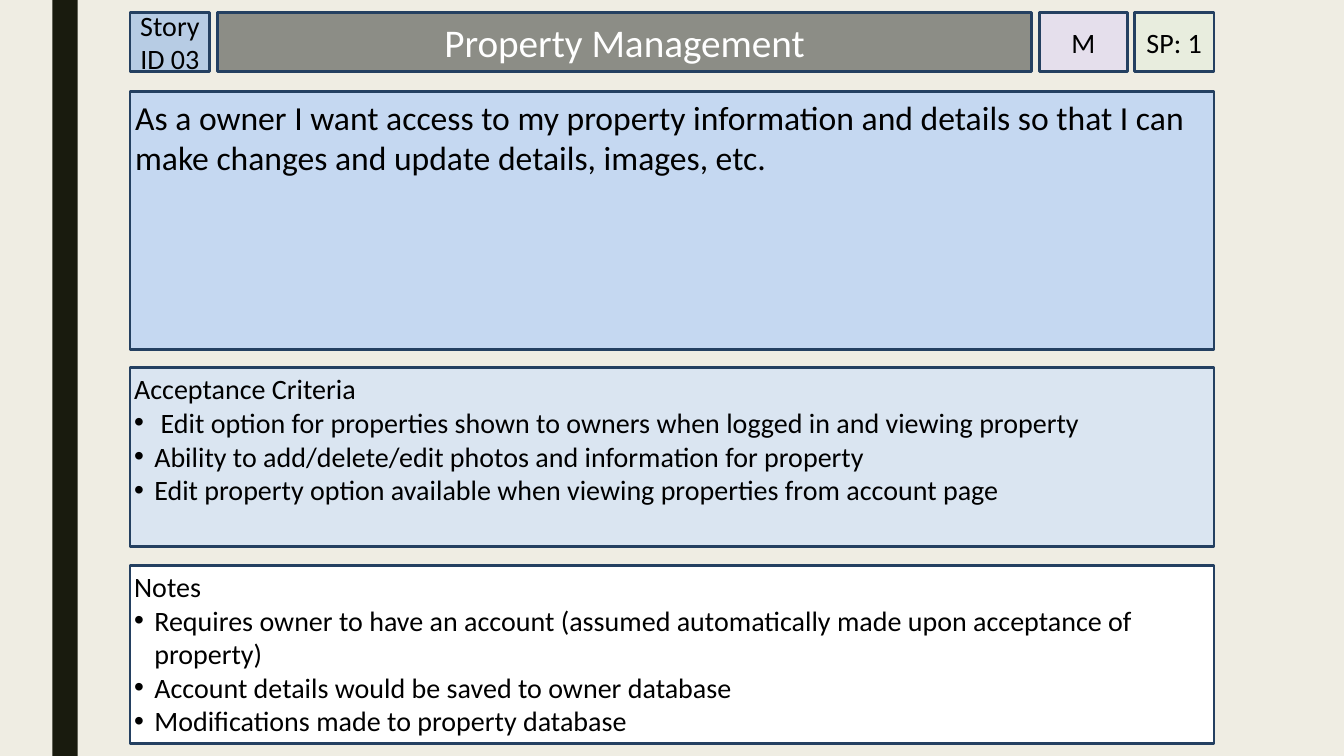
from lxml import etree
from pptx import Presentation
from pptx import util as u
from pptx.dml.color import RGBColor
from pptx.enum import shapes, text
from pptx.oxml.ns import qn

PX = 9144
COLORS = {
    "background": "EFEDE3",
    "stripe": "191B0E",
    "border": "244061",
    "ink": "000000",
    "title_ink": "FFFFFF",
    "story_id": "B7CCE4",
    "title": "8C8D86",
    "priority": "E5DFEC",
    "points": "CCF0CD",
    "story": "C5D8F1",
    "criteria": "DAE5F1",
    "notes": "FFFFFF",
}
CARD_LEFT, CARD_WIDTH = 129, 1075
HEADER_TOP, HEADER_HEIGHT = 12, 59
LIST_HEIGHT, LIST_INDENT = 177, 20

HEADERS = [
    ("story_id", 129, 79, "Story ID 03", 20, "ink", 0),
    ("title", 216, 807, "Property Management", 28, "title_ink", 5),
    ("priority", 1031, 87, "M", 20, "ink", 0),
    ("points", 1125, 79, "SP: 1", 20, "ink", 0),
]
STORY = (
    "As a owner I want access to my property information and details "
    "so that I can make changes and update details, images, etc."
)
LISTS = [
    ("criteria", 365, "Acceptance Criteria", [
        " Edit option for properties shown to owners when logged in and viewing property",
        "Ability to add/delete/edit photos and information for property",
        "Edit property option available when viewing properties from account page",
    ]),
    ("notes", 561, "Notes", [
        "Requires owner to have an account (assumed automatically made upon acceptance of property)",
        "Account details would be saved to owner database",
        "Modifications made to property database",
    ]),
]


def px(length):
    return u.Emu(length * PX)


def rgb(name):
    return RGBColor.from_string(COLORS[name])


def add_panel(slide, color, left, top, width, height):
    panel = slide.shapes.add_shape(
        shapes.MSO_SHAPE.RECTANGLE, px(left), px(top), px(width), px(height))
    panel.shadow.inherit = False
    panel.fill.solid()
    panel.fill.fore_color.rgb = rgb(color)
    panel.line.color.rgb = rgb("border")
    panel.line.width = u.Pt(2)
    return panel


def write(panel, wording, size, ink, inset, align, anchor):
    frame = panel.text_frame
    frame.word_wrap = True
    frame.vertical_anchor = anchor
    frame.margin_left = frame.margin_right = px(inset)
    frame.margin_top = frame.margin_bottom = px(inset)
    frame.text = wording
    for paragraph in frame.paragraphs:
        paragraph.alignment = align
        for run in paragraph.runs:
            run.font.name = "Calibri"
            run.font.size = u.Pt(size)
            run.font.color.rgb = rgb(ink)


def add_bullet(paragraph):
    properties = paragraph._p.get_or_add_pPr()
    properties.set("marL", str(px(LIST_INDENT)))
    properties.set("indent", str(px(-LIST_INDENT)))
    bullet_color = etree.SubElement(properties, qn("a:buClr"))
    etree.SubElement(bullet_color, qn("a:srgbClr"), val=COLORS["ink"])
    etree.SubElement(properties, qn("a:buFont"), typeface="Arial")
    etree.SubElement(properties, qn("a:buChar"), char="•")


def set_opacity(panel, percent):
    fill_color = panel._element.spPr.find(qn("a:solidFill")).find(qn("a:srgbClr"))
    etree.SubElement(fill_color, qn("a:alpha"), val=str(percent * 1000))


def add_header(slide, color, left, width, wording, size, ink, inset):
    header = add_panel(slide, color, left, HEADER_TOP, width, HEADER_HEIGHT)
    write(header, wording, size, ink, inset,
          text.PP_ALIGN.CENTER, text.MSO_ANCHOR.MIDDLE)
    return header


def add_body(slide, color, top, height, wording, size, inset):
    body = add_panel(slide, color, CARD_LEFT, top, CARD_WIDTH, height)
    write(body, wording, size, "ink", inset,
          text.PP_ALIGN.LEFT, text.MSO_ANCHOR.TOP)
    return body


def add_list(slide, color, top, heading, items):
    body = add_body(slide, color, top, LIST_HEIGHT, "\n".join([heading, *items]), 20, 4)
    for paragraph in body.text_frame.paragraphs[1:]:
        add_bullet(paragraph)


def main():
    deck = Presentation()
    deck.slide_width, deck.slide_height = px(1333), px(750)
    slide = deck.slides.add_slide(deck.slide_layouts[6])
    slide.background.fill.solid()
    slide.background.fill.fore_color.rgb = rgb("background")

    stripe = add_panel(slide, "stripe", 52, 0, 25, 750)
    stripe.line.fill.background()

    headers = {header[0]: add_header(slide, *header) for header in HEADERS}
    set_opacity(headers["points"], 20)

    add_body(slide, "story", 91, 256, STORY, 24, 5)
    for section in LISTS:
        add_list(slide, *section)

    deck.save("out.pptx")


if __name__ == "__main__":
    main()
